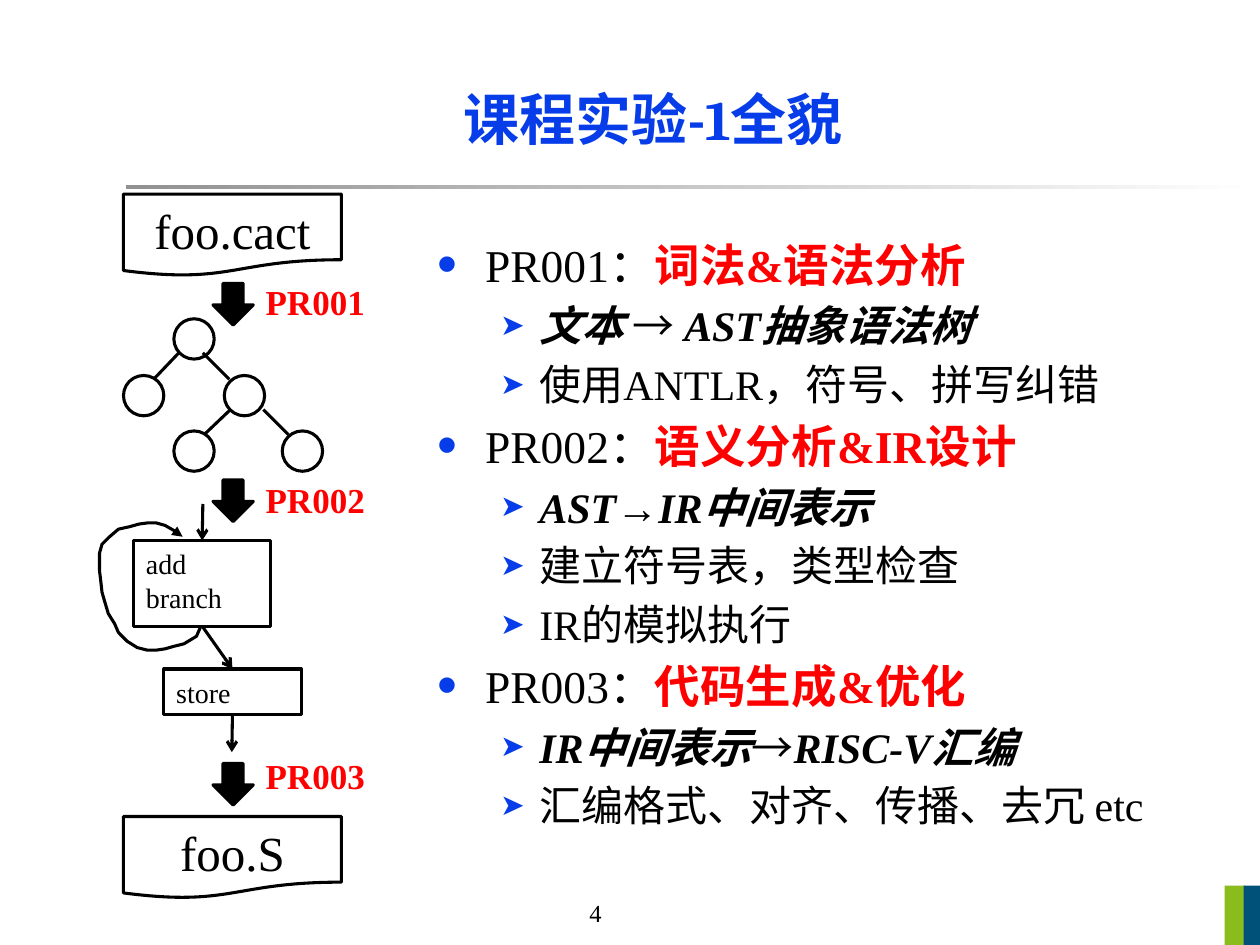
from pptx import Presentation
from pptx.dml.color import RGBColor
from pptx.enum.shapes import MSO_CONNECTOR as CONN, MSO_SHAPE as SHAPE
from pptx.enum.text import MSO_ANCHOR as ANCHOR, MSO_AUTO_SIZE as FIT, PP_ALIGN as ALIGN
from pptx.oxml.ns import qn
from pptx.util import Inches, Pt
from lxml.etree import SubElement

BLACK = RGBColor(0x00, 0x00, 0x00)
RED = RGBColor(0xFF, 0x00, 0x00)
BLUE = RGBColor(0x06, 0x3D, 0xE8)
GREY = RGBColor(0x91, 0x91, 0x91)
WHITE = RGBColor(0xFF, 0xFF, 0xFF)
GREEN = RGBColor(0x8A, 0xBC, 0x1D)
NAVY = RGBColor(0x00, 0x51, 0x7A)
SERIF = "Times New Roman"

# Per level: text size, left margin, indent, bullet, bullet size in percent
LEVELS = [(26, 0.38, -0.38, "•", 125), (24, 0.81, -0.31, "➤", 70)]

# Run marks: "" plain, "b" bold, "i" italic, "r" red
ITEMS = [
    (0, [("PR001：", ""), ("词法&语法分析", "br")]),
    (1, [("文本", "bi"), (" → ", ""), ("AST抽象语法树", "bi")]),
    (1, [("使用ANTLR，符号、拼写纠错", "")]),
    (0, [("PR002：", ""), ("语义分析&IR设计", "br")]),
    (1, [("AST", "bi"), ("→", ""), ("IR中间表示", "bi")]),
    (1, [("建立符号表，类型检查", "")]),
    (1, [("IR的模拟执行", "")]),
    (0, [("PR003：", ""), ("代码生成&优化", "br")]),
    (1, [("IR中间表示", "bi"), ("→", ""), ("RISC-V汇编", "bi")]),
    (1, [("汇编格式、对齐、传播、去冗 etc", "")]),
]

NODES = [(1.38, 2.53), (0.98, 2.98), (1.78, 2.98), (1.38, 3.42), (2.24, 3.42)]
EDGES = [(1.42, 2.8, 1.22, 3.01), (1.61, 2.8, 1.82, 3.01),
         (1.83, 3.25, 1.62, 3.45), (2.09, 3.25, 2.29, 3.45)]
STEPS = [("PR001", 2.25, 2.18), ("PR002", 3.81, 3.75), ("PR003", 6.06, 5.94)]
LOOP = [(1.59, 4.98), (1.56, 5.05), (1.46, 5.11), (1.38, 5.13), (1.31, 5.15),
        (1.24, 5.16), (1.17, 5.16), (1.09, 5.14), (1.01, 5.09), (0.94, 5.02),
        (0.91, 4.95), (0.86, 4.87), (0.83, 4.77), (0.81, 4.7), (0.8, 4.61),
        (0.79, 4.53), (0.79, 4.46), (0.79, 4.39), (0.81, 4.32), (0.87, 4.26),
        (0.94, 4.2), (1.03, 4.18), (1.1, 4.16), (1.17, 4.15), (1.24, 4.15),
        (1.31, 4.17), (1.38, 4.21), (1.45, 4.26)]


class Deck:
    def __init__(self, slide, font=SERIF, width=1.75):
        self.slide, self.shapes = slide, slide.shapes
        self.font, self.width = font, Pt(width)

    def style(self, para, size, color=BLACK, bold=False, align=ALIGN.LEFT, font=None):
        para.alignment = align
        f = para.font
        f.name, f.size, f.bold = font or self.font, Pt(size), bold
        f.color.rgb = color

    def place(self, shape, x, y, w, h):
        shape.left, shape.top = Inches(x), Inches(y)
        shape.width, shape.height = Inches(w), Inches(h)

    def head(self, line, kind):
        SubElement(line.line._get_or_add_ln(), qn("a:tailEnd"), type=kind)

    def title(self, text, box):
        shape = self.shapes.title
        self.place(shape, *box)
        frame = shape.text_frame
        frame.text, frame.vertical_anchor = text, ANCHOR.MIDDLE
        frame.auto_size = FIT.NONE
        self.style(frame.paragraphs[0], 32, BLUE, True, ALIGN.CENTER, "Cambria")

    def bullet(self, para, left, indent, char, pct):
        props = para._p.get_or_add_pPr()
        props.set("marL", str(Inches(left)))
        props.set("indent", str(Inches(indent)))
        tint = SubElement(props, qn("a:buClr"))
        SubElement(tint, qn("a:srgbClr"), val=str(BLUE))
        SubElement(props, qn("a:buSzPct"), val=str(pct * 1000))
        SubElement(props, qn("a:buChar"), char=char)

    def body(self, items, box):
        shape = self.slide.placeholders[1]
        self.place(shape, *box)
        frame = shape.text_frame
        frame.auto_size, frame.vertical_anchor = FIT.NONE, ANCHOR.TOP
        for n, (level, runs) in enumerate(items):
            para = frame.add_paragraph() if n else frame.paragraphs[0]
            size, *mark = LEVELS[level]
            para.level = level
            para.space_before = Pt(size * 0.2)
            self.bullet(para, *mark)
            self.style(para, size)
            for text, look in runs:
                run = para.add_run()
                run.text = text
                f = run.font
                f.name, f.size = self.font, Pt(size)
                f.bold, f.italic = "b" in look, "i" in look
                f.color.rgb = RED if "r" in look else BLACK

    def label(self, text, box, size, color=BLACK, bold=False, wrap=True):
        frame = self.shapes.add_textbox(*map(Inches, box)).text_frame
        frame.text, frame.word_wrap = text, wrap
        self.style(frame.paragraphs[0], size, color, bold)

    def shape(self, kind, box, fill=None, line=BLACK, text="", size=16, align=ALIGN.LEFT):
        shape = self.shapes.add_shape(kind, *map(Inches, box))
        shape.shadow.inherit = False
        if fill is None:
            shape.fill.background()
        else:
            shape.fill.solid()
            shape.fill.fore_color.rgb = fill
        if line is None:
            shape.line.fill.background()
        else:
            shape.line.color.rgb, shape.line.width = line, self.width
        if text:
            frame = shape.text_frame
            frame.text, frame.vertical_anchor = text, ANCHOR.TOP
            for para in frame.paragraphs:
                self.style(para, size, align=align)
        return shape

    def fade(self, box):
        fill = self.shape(SHAPE.RECTANGLE, box, line=None).fill
        fill.gradient()
        fill.gradient_angle = 0
        for stop, color in zip(fill.gradient_stops, (GREY, WHITE)):
            stop.color.rgb = color

    def line(self, ends, start=None, end=None, head=None):
        line = self.shapes.add_connector(CONN.STRAIGHT, *map(Inches, ends))
        line.line.color.rgb, line.line.width = BLACK, self.width
        SubElement(line._element.spPr, qn("a:effectLst"))
        if start:
            line.begin_connect(start, 2)
        if end:
            line.end_connect(end, 0)
        if head:
            self.head(line, head)

    def curve(self, points):
        dots = [(Inches(x), Inches(y)) for x, y in points]
        pen = self.shapes.build_freeform(*dots[0])
        pen.add_line_segments(dots[1:], close=False)
        curve = pen.convert_to_shape()
        curve.shadow.inherit = False
        curve.fill.background()
        curve.line.color.rgb, curve.line.width = BLACK, self.width
        self.head(curve, "triangle")


def main():
    prs = Presentation()
    prs.slide_width, prs.slide_height = Inches(10), Inches(7.5)
    deck = Deck(prs.slides.add_slide(prs.slide_layouts[1]))

    # Frame: page number, rule and corner bars
    deck.label("4", (4.58, 7.08, 0.43, 0.33), 14, wrap=False)
    deck.fade((1, 1.47, 9, 0.03))
    deck.shape(SHAPE.RECTANGLE, (9.72, 7.03, 0.16, 0.47), GREEN, None)
    deck.shape(SHAPE.RECTANGLE, (9.87, 7.03, 0.13, 0.47), NAVY, None)

    # Title and list
    deck.title("课程实验-1全貌", (1.06, 0.44, 8.25, 1))
    deck.body(ITEMS, (3.37, 1.83, 6.33, 5.02))

    # Source and target files
    for name, y in (("foo.cact", 1.54), ("foo.S", 6.48)):
        deck.shape(SHAPE.FLOWCHART_DOCUMENT, (0.98, y, 1.73, 0.65),
                   text=name, size=28, align=ALIGN.CENTER)

    # Project steps
    for name, y, top in STEPS:
        deck.shape(SHAPE.DOWN_ARROW, (1.69, y, 0.32, 0.33), BLACK)
        deck.label(name, (2.01, top, 1.2, 0.44), 20, RED, True)

    # Syntax tree
    for x, y in NODES:
        deck.shape(SHAPE.OVAL, (x, y, 0.32, 0.32))
    for edge in EDGES:
        deck.line(edge)

    # Flow graph
    add = deck.shape(SHAPE.RECTANGLE, (1.06, 4.29, 1.09, 0.68), text="add\nbranch")
    store = deck.shape(SHAPE.RECTANGLE, (1.3, 5.31, 1.09, 0.36), text="store")
    deck.line((1.61, 4, 1.61, 4.29), end=add, head="arrow")
    deck.line((1.61, 4.97, 1.84, 5.31), add, store, "arrow")
    deck.line((1.84, 5.67, 1.84, 5.97), store, head="arrow")
    deck.curve(LOOP)

    prs.save("out.pptx")


if __name__ == "__main__":
    main()
